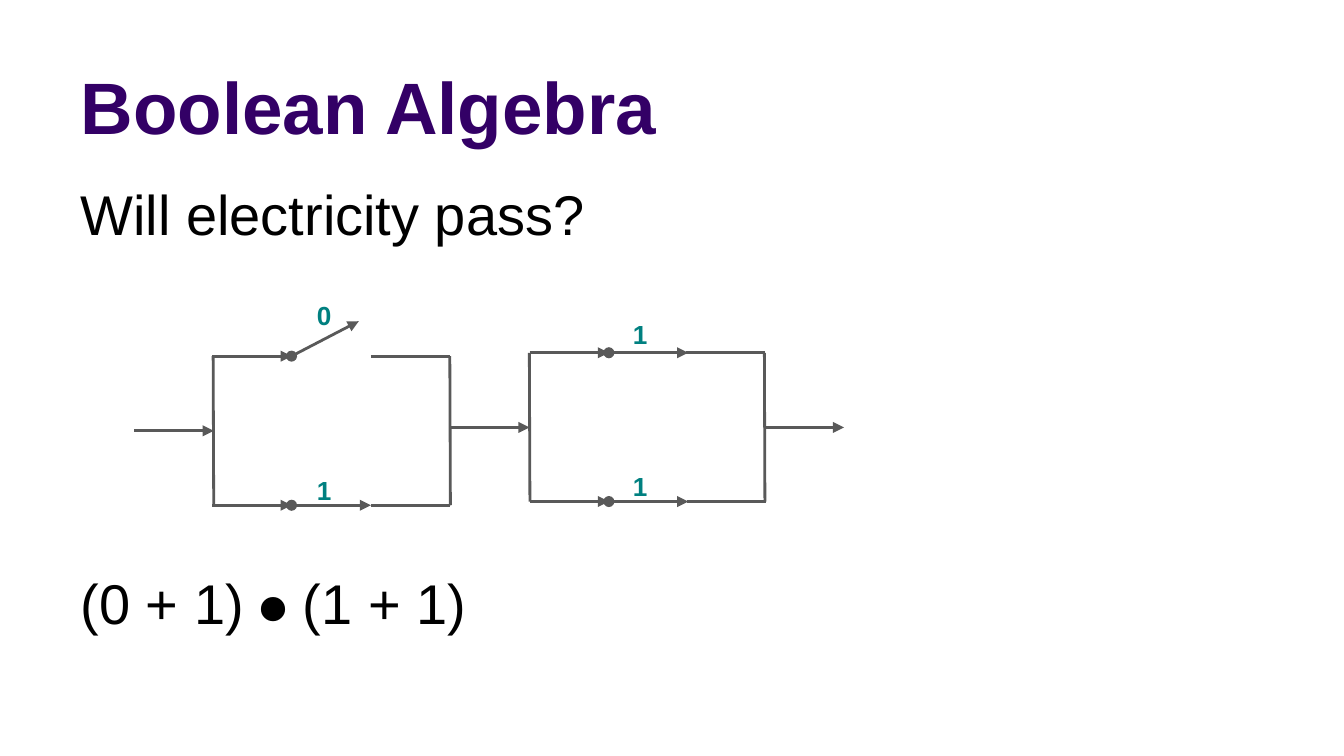
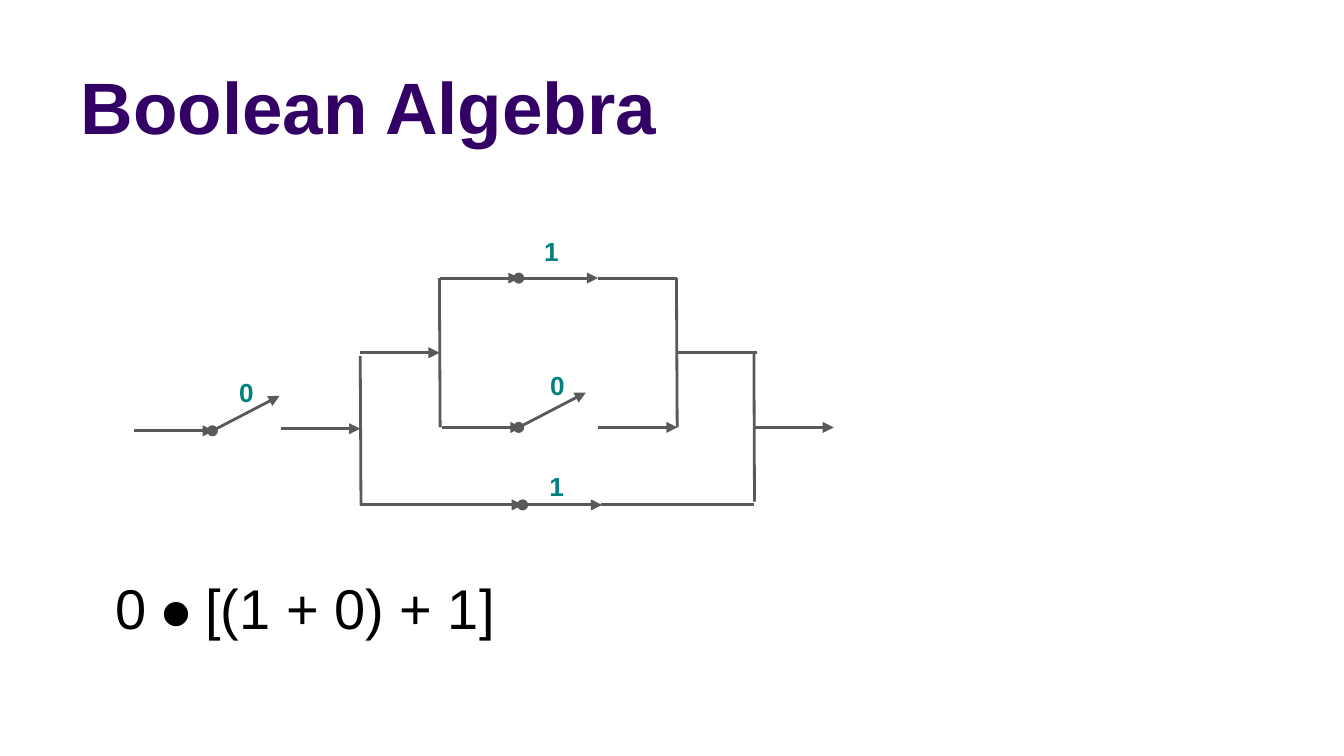
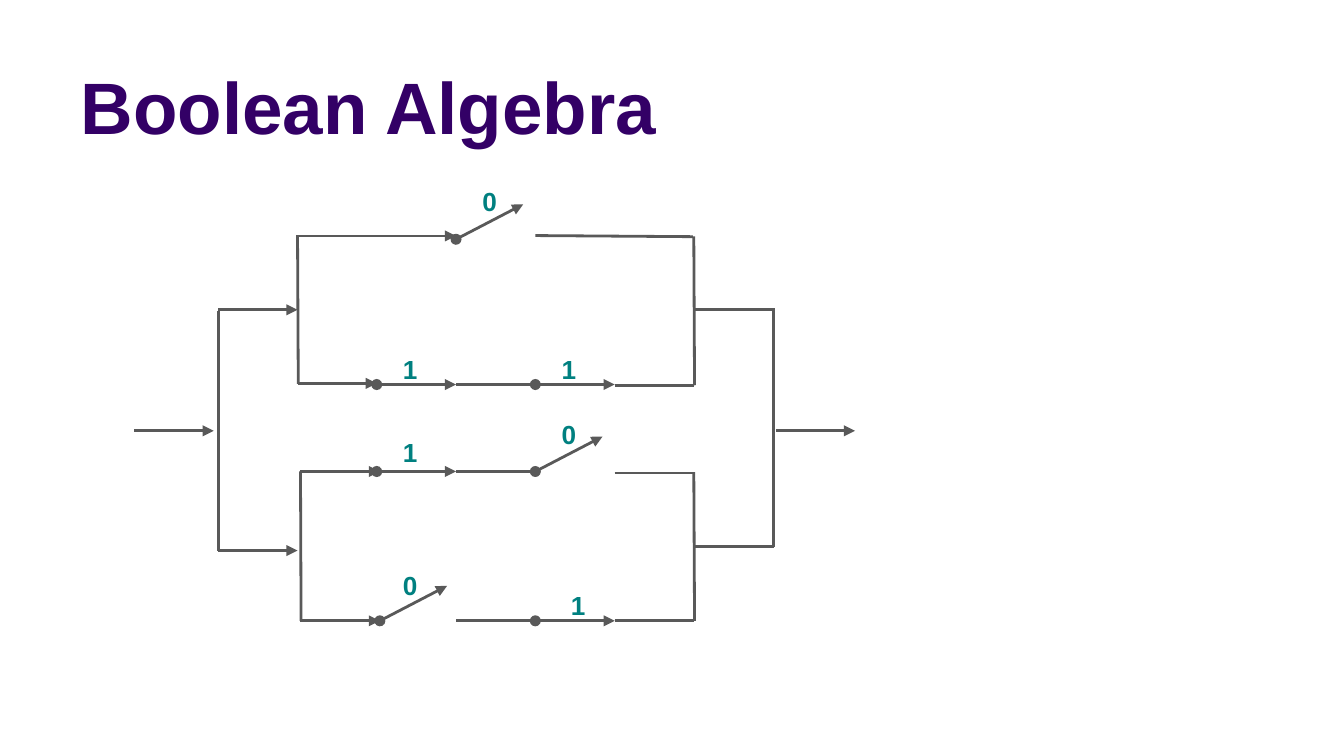
"""Build three Boolean algebra slides with switch circuits."""
from lxml import etree
from pptx import Presentation
from pptx.dml.color import RGBColor
from pptx.enum.shapes import MSO_CONNECTOR
from pptx.enum.text import MSO_ANCHOR, MSO_AUTO_SIZE, PP_ALIGN
from pptx.oxml.ns import qn
from pptx.util import Pt

STRAIGHT = MSO_CONNECTOR.STRAIGHT
BOTTOM, TOP = MSO_ANCHOR.BOTTOM, MSO_ANCHOR.TOP
NO_FIT = MSO_AUTO_SIZE.NONE
LEFT = PP_ALIGN.LEFT

PURPLE = RGBColor(0x33, 0x00, 0x66)
TEAL = RGBColor(0x00, 0x80, 0x80)
GREY = RGBColor(0x59, 0x59, 0x59)
BLACK = RGBColor(0x00, 0x00, 0x00)
FONT = "Arial"
STEP = 42.5
OPEN_REACH, OPEN_RISE = 36, 18.7
TITLE_ONLY, TITLE_AND_CONTENT = 5, 1

# wires: x1, y1, x2, y2; arrows: x, y, length; switches: x, y, label x, label y
CIRCUITS = [
    {
        "layout": TITLE_AND_CONTENT,
        "wires": [
            (114.2, 190.8, 114.5, 270.7), (198.7, 190.8, 241.2, 190.8),
            (198.7, 270.7, 241.2, 270.7), (241, 190.8, 241.3, 270.7),
            (283.6, 189, 283.9, 268.7), (367.4, 189, 409.7, 189),
            (368, 268.7, 410.2, 268.7), (409.5, 189, 409.8, 268.7),
        ],
        "arrows": [
            (72, 230.8, STEP), (113.8, 270.7, STEP), (113.8, 190.8, STEP),
            (241.2, 229, STEP), (283.7, 189, STEP), (283.7, 268.7, STEP),
            (409.7, 229, STEP),
        ],
        "closed": [
            (156.2, 270.7, 162.7, 247), (326.2, 268.7, 332, 244.8),
            (326.2, 189, 332, 163.4),
        ],
        "open": [(156.2, 190.8, 162.7, 153.4)],
    },
    {
        "layout": TITLE_ONLY,
        "wires": [
            (403.9, 189, 404.2, 268.7), (321.8, 270.4, 404.2, 270.4),
            (193, 190.8, 193.4, 270.7), (235.4, 149, 235.8, 229),
            (320.4, 149, 362.9, 149), (362.9, 189, 405.4, 189),
            (362.4, 149, 362.8, 229),
        ],
        "arrows": [
            (72, 230.8, STEP), (150.5, 229.7, STEP), (193, 270.5, 87.1),
            (236.9, 229, STEP), (193, 189, STEP), (320.4, 229, STEP),
            (235.8, 149, STEP), (404.2, 229, STEP),
        ],
        "closed": [(280, 270.5, 287.3, 244.8), (277.9, 149, 284.4, 118.8)],
        "open": [(113.8, 230.8, 121, 194.4), (277.9, 229, 287.7, 190.8)],
    },
    {
        "layout": TITLE_ONLY,
        "wires": [
            (116.9, 166.4, 116.9, 295), (371.9, 166, 414.7, 166),
            (371.9, 292.8, 414.4, 292.8), (159.4, 126, 159.8, 205.7),
            (329.3, 206.4, 371.9, 206.4), (329.3, 332.6, 371.9, 332.6),
            (371.7, 126.7, 372.1, 206.4), (244.3, 206, 286.8, 206),
            (286.8, 126.2, 371.2, 126.8), (161, 252.6, 161.3, 332.6),
            (244.3, 252.6, 286.8, 252.6), (244.3, 332.6, 286.8, 332.6),
            (329.3, 253.4, 371.9, 253.4), (371.7, 252.9, 372.1, 332.6),
            (414.3, 165.2, 414.3, 293),
        ],
        "arrows": [
            (72, 230.8, STEP), (116.9, 295, STEP), (116.9, 166, STEP),
            (161, 252.6, STEP), (159.4, 126.4, 84.9), (159.4, 205.4, STEP),
            (161, 332.6, STEP), (415.6, 230.8, STEP),
        ],
        "closed": [
            (201.8, 206, 208.8, 182.2), (286.8, 206, 293.8, 182.2),
            (201.8, 252.6, 208.8, 226.4), (286.8, 332.6, 298.8, 308.6),
        ],
        "open": [
            (244.3, 128.2, 251.3, 92.2), (286.8, 252.6, 293.8, 216.9),
            (203.5, 332.6, 208.8, 298),
        ],
    },
]


def draw_line(slide, start, end, head=None, tail=None):
    """Draw a grey wire with optional line ends."""
    wire = slide.shapes.add_connector(STRAIGHT, *[Pt(v) for v in (*start, *end)])
    wire.line.color.rgb = GREY
    wire.line.width = Pt(1.5)
    outline = wire.line._get_or_add_ln()
    for tag, style in (("a:headEnd", head), ("a:tailEnd", tail)):
        if style:
            etree.SubElement(outline, qn(tag)).set("type", style)
    etree.SubElement(wire._element.spPr, qn("a:effectLst"))


def style_text(holder, box, inset, size, color, bold=False, anchor=TOP):
    """Place a text holder and format its frame and runs."""
    holder.left, holder.top, holder.width, holder.height = [Pt(v) for v in box]
    frame = holder.text_frame
    frame.word_wrap = True
    frame.auto_size = NO_FIT
    frame.vertical_anchor = anchor
    frame.margin_left = frame.margin_right = Pt(7.2)
    frame.margin_top = frame.margin_bottom = Pt(inset)
    for paragraph in frame.paragraphs:
        paragraph.alignment = LEFT
        for run in paragraph.runs:
            run.font.name = FONT
            run.font.size = Pt(size)
            run.font.bold = bold
            run.font.color.rgb = color


deck = Presentation()
deck.slide_width, deck.slide_height = Pt(720), Pt(405)
slides = []

for circuit in CIRCUITS:
    slide = deck.slides.add_slide(deck.slide_layouts[circuit["layout"]])
    slides.append(slide)
    title = slide.shapes.title
    title.text_frame.text = "Boolean Algebra"
    style_text(title, (36, 7.2, 594, 76.3), 3.6, 39, PURPLE, True, BOTTOM)

    for x1, y1, x2, y2 in circuit["wires"]:
        draw_line(slide, (x1, y1), (x2, y2))
    for x, y, length in circuit["arrows"]:
        draw_line(slide, (x, y), (x + length, y), tail="triangle")
    for state, digit, reach, rise in (
        ("closed", "1", STEP, 0),
        ("open", "0", OPEN_REACH, OPEN_RISE),
    ):
        for x, y, label_x, label_y in circuit[state]:
            draw_line(slide, (x, y), (x + reach, y - rise), "oval", "triangle")
            label = slide.shapes.add_textbox(0, 0, 0, 0)
            label.text_frame.text = digit
            style_text(label, (label_x, label_y, 22.4, 23.8), 7.2, 14, TEAL, True)

question = slides[0].placeholders[1]
question.text_frame.text = "Will electricity pass?\n(0 + 1) ⦁ (1 + 1)"
style_text(question, (36, 87.1, 648, 275), 3.6, 30, BLACK)
for paragraph, gap in zip(question.text_frame.paragraphs, (12, 167)):
    paragraph.line_spacing = 1.15
    paragraph.space_before = Pt(gap)
    properties = paragraph._p.get_or_add_pPr()
    properties.set("marL", "0")
    properties.set("indent", "0")
    etree.SubElement(properties, qn("a:buNone"))

formula = slides[1].shapes.add_textbox(0, 0, 0, 0)
formula.text_frame.text = "0 ⦁ [(1 + 0) + 1]"
style_text(formula, (54.7, 294.5, 339, 67), 7.2, 30, BLACK)
formula.text_frame.paragraphs[0].line_spacing = 1.15
formula.text_frame.paragraphs[0].space_before = Pt(12)

deck.save("out.pptx")
